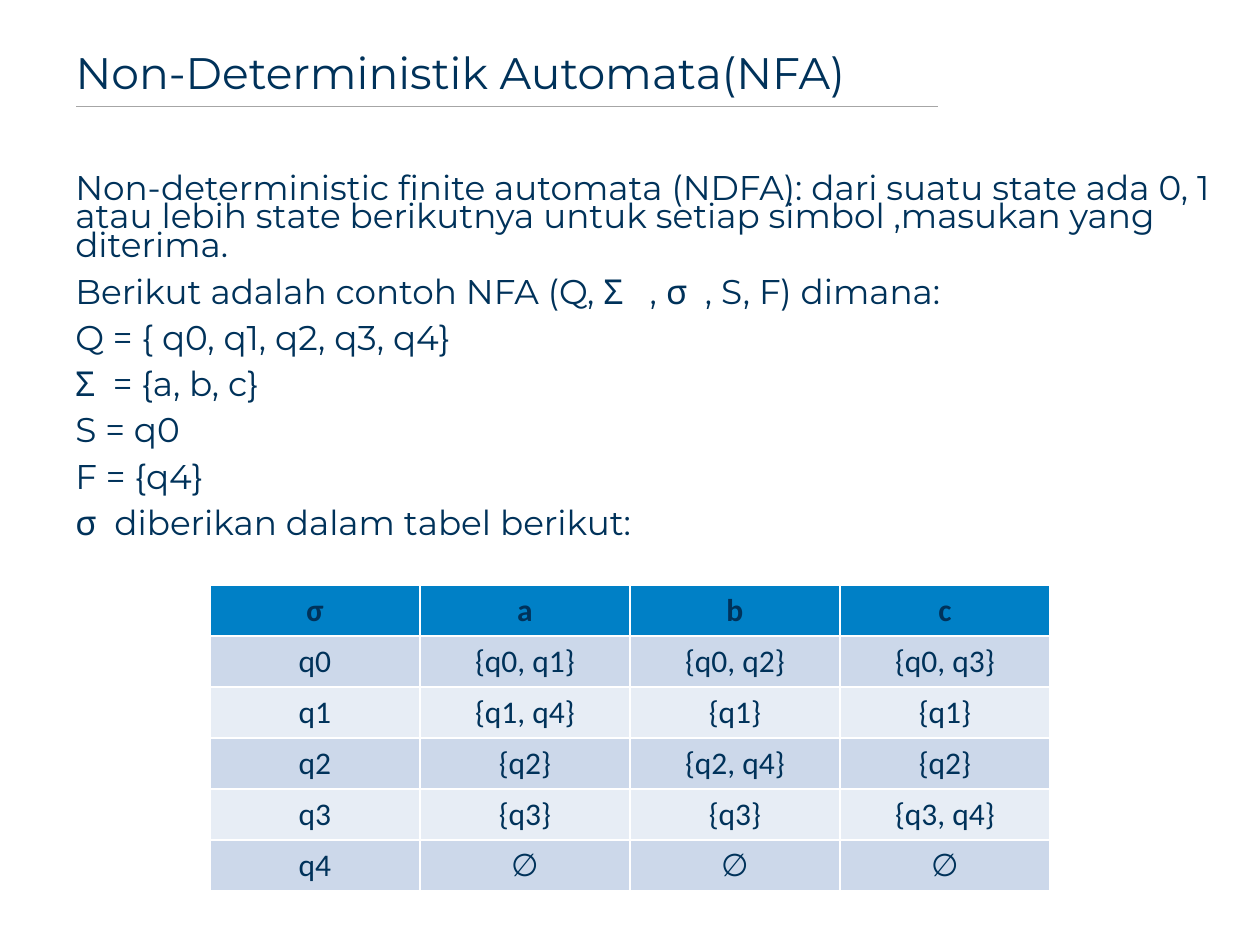
from pptx import Presentation
from pptx.dml.color import RGBColor
from pptx.enum.shapes import MSO_CONNECTOR
from pptx.enum.text import MSO_ANCHOR, MSO_AUTO_SIZE, PP_ALIGN
from pptx.oxml.ns import qn
from pptx.util import Pt
from lxml.etree import SubElement

PX = 914400 / 126
NAVY = RGBColor(0x00, 0x32, 0x5A)
GREY = RGBColor(0xA6, 0xA6, 0xA6)
BLUE = RGBColor(0x00, 0x80, 0xC6)
BAND_DARK = RGBColor(0xCC, 0xD8, 0xEA)
BAND_LIGHT = RGBColor(0xE7, 0xED, 0xF5)


def px(*lengths):
    return [round(length * PX) for length in lengths]


def style(paragraph, font_name, size, bold=False):
    for run in paragraph.runs:
        run.font.name = font_name
        run.font.size = Pt(size)
        run.font.bold = bold
        run.font.color.rgb = NAVY


prs = Presentation()
prs.slide_width, prs.slide_height = px(1260, 945)
slide = prs.slides.add_slide(prs.slide_layouts[5])

# Rule under the title
rule = slide.shapes.add_connector(MSO_CONNECTOR.STRAIGHT, *px(938, 106, 76, 106))
rule.line.color.rgb = GREY
rule.line.width = Pt(0.5)
SubElement(rule._element.spPr, qn("a:effectLst"))

# Title
title = slide.shapes.title
title.left, title.top, title.width, title.height = px(63, 44, 876, 62)
title_frame = title.text_frame
title_frame.text = "Non-Deterministik Automata(NFA)"
title_frame.auto_size = MSO_AUTO_SIZE.NONE
title_frame.vertical_anchor = MSO_ANCHOR.MIDDLE
heading = title_frame.paragraphs[0]
heading.alignment = PP_ALIGN.LEFT
heading.line_spacing = 0.9
style(heading, "Montserrat", 25.2)

# Definition of the automaton
definition = [
    "Non-deterministic finite automata (NDFA): dari suatu state ada 0, 1 atau "
    "lebih state berikutnya untuk setiap simbol ,masukan yang diterima.",
    "Berikut adalah contoh NFA (Q, Σ   , σ  , S, F) dimana:",
    "Q = { q0, q1, q2, q3, q4}",
    "Σ  = {a, b, c}",
    "S = q0",
    "F = {q4}",
    "σ  diberikan dalam tabel berikut:",
]
definition_frame = slide.shapes.add_textbox(*px(63, 171, 1172, 399)).text_frame
definition_frame.word_wrap = True
definition_frame.text = "\n".join(definition)
for paragraph in definition_frame.paragraphs:
    paragraph.line_spacing = 0.7
    paragraph.space_before = Pt(10)
    style(paragraph, "Montserrat", 19.6)

# Transition table; the default table style supplies the white borders
transitions = [
    ["σ", "a", "b", "c"],
    ["q0", "{q0, q1}", "{q0, q2}", "{q0, q3}"],
    ["q1", "{q1, q4}", "{q1}", "{q1}"],
    ["q2", "{q2}", "{q2, q4}", "{q2}"],
    ["q3", "{q3}", "{q3}", "{q3, q4}"],
    ["q4", "∅", "∅", "∅"],
]
table = slide.shapes.add_table(
    len(transitions), len(transitions[0]), *px(210, 585, 840, 306)
).table
for r, row in enumerate(transitions):
    if r == 0:
        row_fill = BLUE
    else:
        row_fill = BAND_DARK if r % 2 else BAND_LIGHT
    for c, entry in enumerate(row):
        cell = table.cell(r, c)
        cell.fill.solid()
        cell.fill.fore_color.rgb = row_fill
        cell.text_frame.text = entry
        paragraph = cell.text_frame.paragraphs[0]
        paragraph.alignment = PP_ALIGN.CENTER
        style(paragraph, "Calibri", 18, bold=r == 0)

prs.save("out.pptx")
